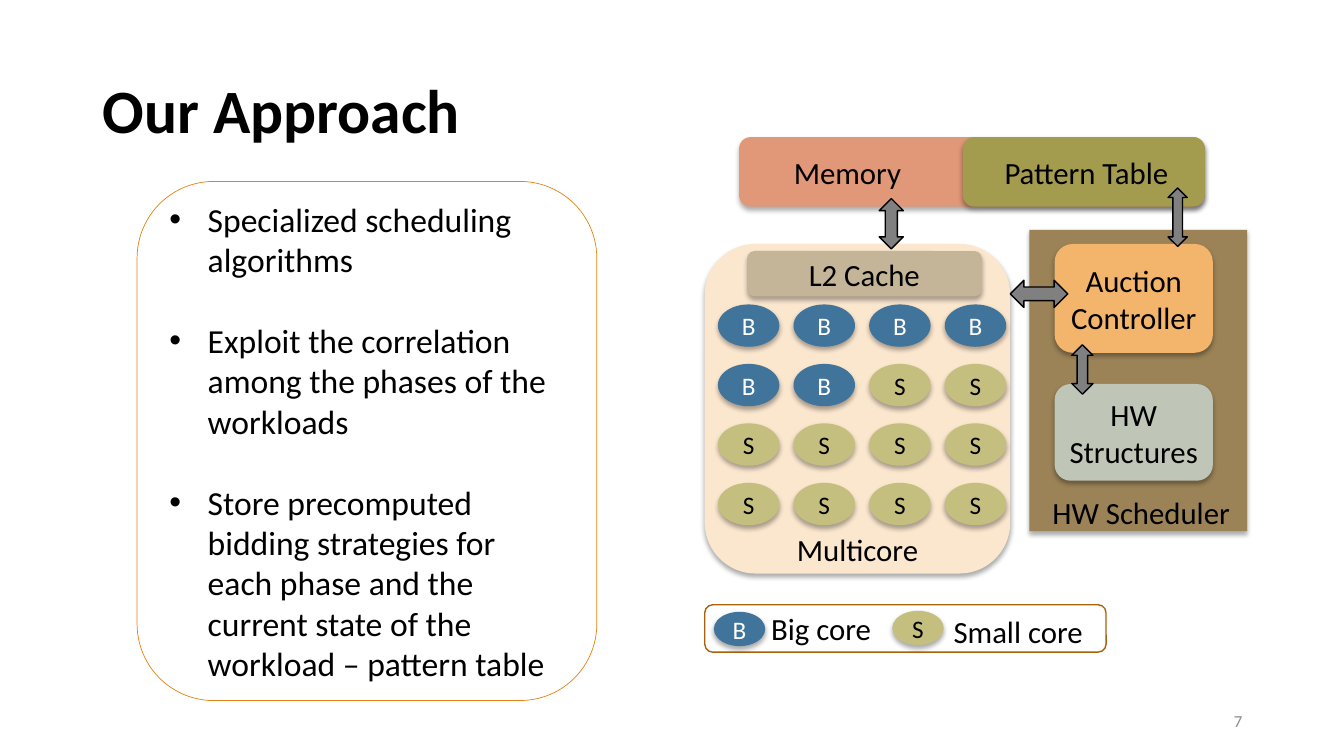
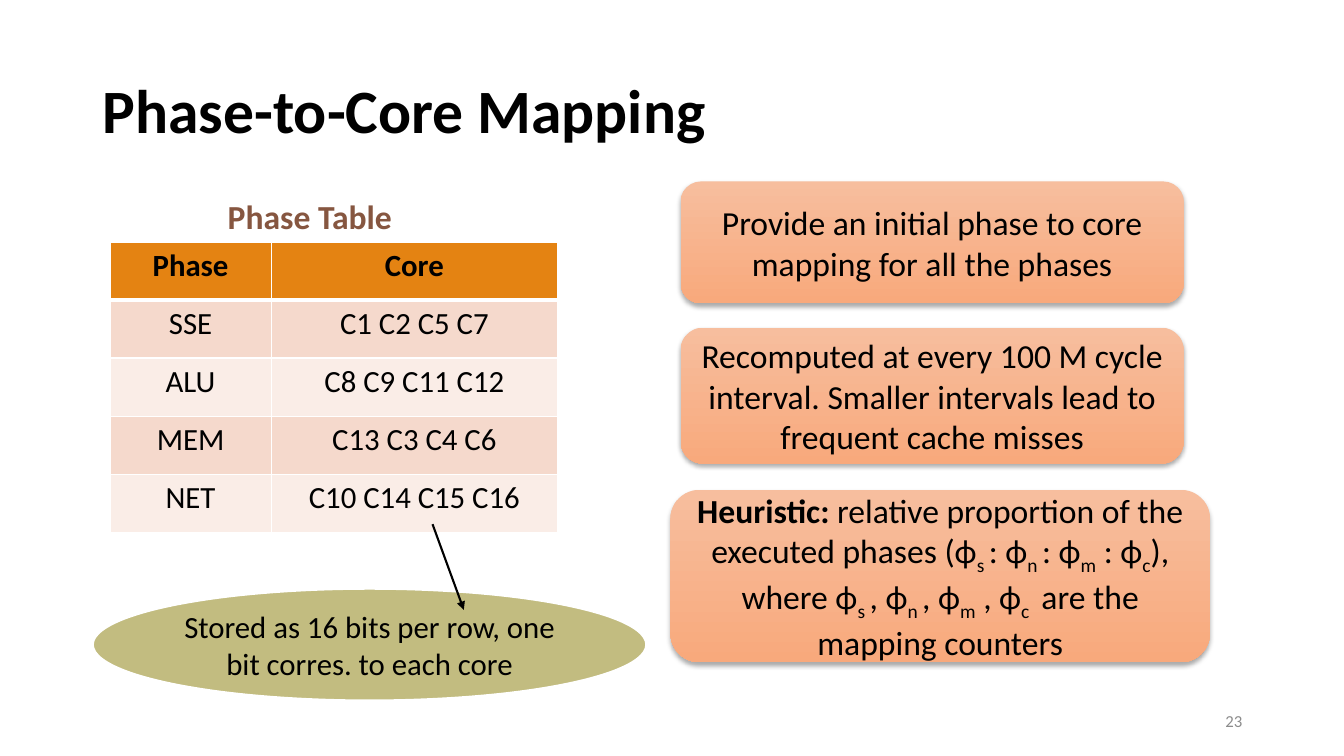
from dataclasses import dataclass
from typing import Optional

import lxml.etree
import pptx
import pptx.dml.color
import pptx.enum.shapes
import pptx.enum.text
import pptx.oxml.ns
import pptx.util

Inches = pptx.util.Inches
Pt = pptx.util.Pt
RGBColor = pptx.dml.color.RGBColor
Shapes = pptx.enum.shapes.MSO_SHAPE
Align = pptx.enum.text.PP_ALIGN
Anchor = pptx.enum.text.MSO_ANCHOR
qn = pptx.oxml.ns.qn

FONT = "Calibri"
BLACK = RGBColor(0x00, 0x00, 0x00)
WHITE = RGBColor(0xFF, 0xFF, 0xFF)
GRAY = RGBColor(0x8C, 0x8C, 0x8C)
ARROW_GRAY = RGBColor(0x80, 0x80, 0x80)
ORANGE = RGBColor(0xE4, 0x83, 0x12)
DARK_ORANGE = RGBColor(0xA9, 0x61, 0x0D)
BROWN = RGBColor(0x9B, 0x83, 0x57)
AMBER = RGBColor(0xF3, 0xB5, 0x6C)
SAGE = RGBColor(0xBF, 0xC6, 0xB8)
SALMON = RGBColor(0xE0, 0x98, 0x78)
CREAM = RGBColor(0xFB, 0xE6, 0xCE)
TAN = RGBColor(0xC5, 0xB5, 0x98)
OLIVE = RGBColor(0xA3, 0x9B, 0x4E)
BLUE = RGBColor(0x40, 0x74, 0x9B)
KHAKI = RGBColor(0xC5, 0xBF, 0x7F)
NOTE_GREEN = RGBColor(0xC2, 0xBC, 0x80)
CAPTION_BROWN = RGBColor(0x86, 0x56, 0x40)
PEACH_TOP = RGBColor(0xF7, 0xBE, 0x9E)
PEACH_BOTTOM = RGBColor(0xF8, 0xA9, 0x7C)
BAND_DARK = RGBColor(0xF5, 0xD9, 0xCC)
BAND_LIGHT = RGBColor(0xFA, 0xED, 0xE7)


@dataclass(frozen=True)
class Area:
    left: float
    top: float
    width: float
    height: float

    def lengths(self) -> tuple:
        return tuple(Inches(value) for value in (self.left, self.top, self.width, self.height))


@dataclass(frozen=True)
class Block:
    """A shadowed diagram part; a text_inset left-aligns its text."""
    area: Area
    fill: RGBColor
    text: str = ""
    text_inset: Optional[float] = None
    kind: int = Shapes.ROUNDED_RECTANGLE


@dataclass(frozen=True)
class Arrow:
    area: Area
    rotation: int = 90


@dataclass(frozen=True)
class Piece:
    text: str
    bold: bool = False
    subscript: bool = False


@dataclass(frozen=True)
class Core:
    letter: str
    fill: RGBColor
    color: RGBColor


BIG = Core("B", BLUE, WHITE)
SMALL = Core("S", KHAKI, BLACK)

POINTS = [
    "Specialized scheduling algorithms",
    "Exploit the correlation among the phases of the workloads",
    "Store precomputed bidding strategies for each phase and the current state of the "
    "workload – pattern table",
]
BLOCKS = [
    Block(Area(10.21, 2.28, 2.16, 2.99), BROWN, kind=Shapes.RECTANGLE),
    Block(Area(10.46, 2.42, 1.57, 1.08), AMBER, "Auction Controller"),
    Block(Area(10.46, 3.81, 1.57, 0.96), SAGE, "HW Structures"),
    Block(Area(7.33, 1.36, 4.62, 0.69), SALMON, "Memory", 0.51),
    Block(Area(9.55, 1.36, 2.4, 0.69), OLIVE, "Pattern Table", 0.38),
    Block(Area(6.99, 2.42, 3.03, 3.27), CREAM),
    Block(Area(7.41, 2.49, 2.33, 0.45), TAN, "L2 Cache", 0.59),
]
ARROWS = [
    Arrow(Area(10.49, 3.56, 0.49, 0.21)),
    Arrow(Area(10.02, 2.78, 0.57, 0.27), 180),
    Arrow(Area(8.59, 2.1, 0.5, 0.24)),
    Arrow(Area(11.39, 2.06, 0.58, 0.19)),
]
CORE_ROWS = [[BIG] * 4, [BIG, BIG, SMALL, SMALL], [SMALL] * 4, [SMALL] * 4]
PHASE_ROWS = [
    ("Phase", "Core"),
    ("SSE", "C1 C2 C5 C7"),
    ("ALU", "C8 C9 C11 C12"),
    ("MEM", "C13 C3 C4 C6"),
    ("NET", "C10 C14 C15 C16"),
]
CARDS = [
    (Area(6.75, 1.8, 4.99, 1.21),
     [Piece("Provide an initial phase to core mapping for all the phases")]),
    (Area(6.75, 3.25, 4.99, 1.35),
     [Piece("Recomputed at every 100 M cycle interval. Smaller intervals lead to "
            "frequent cache misses")]),
    (Area(6.65, 4.86, 5.35, 1.71), [
        Piece("Heuristic:", bold=True),
        Piece(" relative proportion of the executed phases (ϕ"), Piece("s ", subscript=True),
        Piece(": ϕ"), Piece("n ", subscript=True),
        Piece(": ϕ"), Piece("m", subscript=True),
        Piece(" : ϕ"), Piece("c", subscript=True),
        Piece("), where ϕ"), Piece("s ", subscript=True),
        Piece(", ϕ"), Piece("n ", subscript=True),
        Piece(", ϕ"), Piece("m", subscript=True),
        Piece(" , ϕ"), Piece("c ", subscript=True),
        Piece(" are the mapping counters"),
    ]),
]


def add_run(paragraph, text: str, size: float, color: RGBColor = BLACK, bold: bool = False):
    run = paragraph.add_run()
    run.text = text
    run.font.name = FONT
    run.font.size = Pt(size)
    run.font.bold = bold
    run.font.color.rgb = color
    return run


def add_label(slide, area: Area, text: str, size: float, color: RGBColor = BLACK,
              bold: bool = False, align=Align.LEFT, anchor=Anchor.TOP, wrap: bool = False):
    frame = slide.shapes.add_textbox(*area.lengths()).text_frame
    frame.word_wrap = wrap
    frame.vertical_anchor = anchor
    paragraph = frame.paragraphs[0]
    paragraph.alignment = align
    add_run(paragraph, text, size, color, bold)
    return paragraph


def add_shape(slide, kind, area: Area, fill: Optional[RGBColor] = None,
              line: Optional[RGBColor] = None, line_width: float = 1, shadow: bool = False):
    shape = slide.shapes.add_shape(kind, *area.lengths())
    if fill is None:
        shape.fill.background()
    else:
        shape.fill.solid()
        shape.fill.fore_color.rgb = fill
    if line is None:
        shape.line.fill.background()
    else:
        shape.line.color.rgb = line
        shape.line.width = Pt(line_width)
    shape.shadow.inherit = False
    if shadow:
        effects = shape._element.spPr.find(qn("a:effectLst"))
        outer = lxml.etree.SubElement(effects, qn("a:outerShdw"), blurRad=str(Pt(3.5)),
                                      dist=str(Pt(2.2)), dir="5400000", rotWithShape="0")
        black = lxml.etree.SubElement(outer, qn("a:srgbClr"), val="000000")
        lxml.etree.SubElement(black, qn("a:alpha"), val="32000")
    frame = shape.text_frame
    frame.word_wrap = True
    frame.vertical_anchor = Anchor.MIDDLE
    frame.paragraphs[0].alignment = Align.CENTER
    return shape


def add_slide(presentation, title: str, number: str):
    """Add a blank slide with the shared title and page number."""
    slide = presentation.slides.add_slide(presentation.slide_layouts[6])
    heading = add_label(slide, Area(0.92, 0.4, 11.5, 1.45), title, 44, bold=True,
                        anchor=Anchor.MIDDLE, wrap=True)
    heading.line_spacing = 0.9
    add_label(slide, Area(9.42, 6.95, 3, 0.4), number, 12, GRAY, align=Align.RIGHT,
              anchor=Anchor.MIDDLE, wrap=True)
    return slide


def add_points(slide) -> None:
    box = add_shape(slide, Shapes.ROUNDED_RECTANGLE, Area(1.36, 1.8, 4.56, 5.15),
                    line=ORANGE, line_width=0.5)
    frame = box.text_frame
    for index, point in enumerate(POINTS):
        paragraph = frame.add_paragraph() if index else frame.paragraphs[0]
        properties = paragraph._p.get_or_add_pPr()
        properties.set("marL", str(Inches(0.38)))
        properties.set("indent", str(-Inches(0.38)))
        lxml.etree.SubElement(properties, qn("a:buFont"), typeface="Arial")
        lxml.etree.SubElement(properties, qn("a:buChar"), char="•")
        paragraph.alignment = Align.LEFT
        if index:
            paragraph.space_before = Pt(29)
        add_run(paragraph, point, 24)


def add_block(slide, block: Block) -> None:
    shape = add_shape(slide, block.kind, block.area, block.fill, shadow=True)
    if not block.text:
        return
    frame = shape.text_frame
    frame.margin_left = frame.margin_right = Inches(0.05)
    if block.text_inset is not None:
        frame.margin_left = Inches(block.text_inset)
        frame.paragraphs[0].alignment = Align.LEFT
    add_run(frame.paragraphs[0], block.text, 22)


def add_core(slide, core: Core, area: Area) -> None:
    frame = add_shape(slide, Shapes.OVAL, area, core.fill, shadow=True).text_frame
    frame.margin_left = frame.margin_right = frame.margin_top = frame.margin_bottom = 0
    add_run(frame.paragraphs[0], core.letter, 18, core.color)


def build_approach(presentation) -> None:
    slide = add_slide(presentation, "Our Approach", "7")
    add_points(slide)
    for block in BLOCKS:
        add_block(slide, block)
    for row, cores in enumerate(CORE_ROWS):
        for column, core in enumerate(cores):
            add_core(slide, core, Area(7.12 + 0.75 * column, 3.02 + 0.59 * row, 0.61, 0.42))
    for arrow in ARROWS:
        shape = add_shape(slide, Shapes.LEFT_RIGHT_ARROW, arrow.area, ARROW_GRAY, BLACK)
        shape.rotation = arrow.rotation
    add_label(slide, Area(6.99, 5.22, 3.03, 0.47), "Multicore", 22, align=Align.CENTER, wrap=True)
    add_label(slide, Area(10.34, 4.85, 1.98, 0.47), "HW Scheduler", 22)

    add_shape(slide, Shapes.ROUNDED_RECTANGLE, Area(6.99, 6, 3.98, 0.47), line=DARK_ORANGE)
    add_core(slide, BIG, Area(7.08, 6.07, 0.51, 0.34))
    add_label(slide, Area(7.55, 6, 1.29, 0.4), "Big core", 22, wrap=True)
    add_core(slide, SMALL, Area(8.85, 6.06, 0.51, 0.34))
    add_label(slide, Area(9.36, 6.03, 1.5, 0.4), "Small core", 22)


def style_cell(cell, fill: RGBColor, top: float, bottom: float) -> None:
    """Give a cell white borders (widths in points) and a fill."""
    properties = cell._tc.get_or_add_tcPr()
    for side, width in (("L", 1), ("R", 1), ("T", top), ("B", bottom)):
        border = lxml.etree.SubElement(properties, qn(f"a:ln{side}"), w=str(Pt(width)))
        solid = lxml.etree.SubElement(border, qn("a:solidFill"))
        lxml.etree.SubElement(solid, qn("a:srgbClr"), val=str(WHITE))
    cell.fill.solid()
    cell.fill.fore_color.rgb = fill


def add_phase_table(slide) -> None:
    area = Area(1.09, 2.4, 4.44, 2.88)
    table = slide.shapes.add_table(len(PHASE_ROWS), 2, *area.lengths()).table
    table.horz_banding = False
    for column, width in zip(table.columns, (1.6, 2.84)):
        column.width = Inches(width)
    for row, texts in enumerate(PHASE_ROWS):
        fill = ORANGE if row == 0 else BAND_DARK if row % 2 else BAND_LIGHT
        for column, text in enumerate(texts):
            cell = table.cell(row, column)
            style_cell(cell, fill, top=3 if row == 1 else 1, bottom=3 if row == 0 else 1)
            paragraph = cell.text_frame.paragraphs[0]
            paragraph.alignment = Align.CENTER
            add_run(paragraph, text, 22, bold=row == 0)


def add_card(slide, area: Area, pieces: list[Piece]) -> None:
    card = add_shape(slide, Shapes.ROUNDED_RECTANGLE, area, shadow=True)
    card.fill.gradient()
    card.fill.gradient_angle = 270
    for stop, color in zip(card.fill.gradient_stops, (PEACH_TOP, PEACH_BOTTOM)):
        stop.color.rgb = color
    for piece in pieces:
        run = add_run(card.text_frame.paragraphs[0], piece.text, 24, bold=piece.bold)
        if piece.subscript:
            run._r.get_or_add_rPr().set("baseline", "-25000")


def build_mapping(presentation) -> None:
    slide = add_slide(presentation, "Phase-to-Core Mapping", "23")
    add_phase_table(slide)
    add_label(slide, Area(2.16, 1.89, 1.85, 0.5), "Phase Table", 24, CAPTION_BROWN, bold=True)
    for area, pieces in CARDS:
        add_card(slide, area, pieces)
    note = add_shape(slide, Shapes.OVAL, Area(0.92, 5.84, 5.49, 1.11), NOTE_GREEN, WHITE, 1.5)
    add_run(note.text_frame.paragraphs[0],
            "Stored as 16 bits per row, one bit corres. to each core", 22)
    pointer = slide.shapes.add_connector(pptx.enum.shapes.MSO_CONNECTOR.STRAIGHT, Inches(4.29),
                                         Inches(5.2), Inches(4.6), Inches(6.05))
    pointer.line.color.rgb = BLACK
    pointer.line.width = Pt(1.5)
    lxml.etree.SubElement(pointer.line._get_or_add_ln(), qn("a:tailEnd"), type="triangle")
    lxml.etree.SubElement(pointer._element.spPr, qn("a:effectLst"))


def main() -> None:
    presentation = pptx.Presentation()
    presentation.slide_width = Inches(13.33)
    presentation.slide_height = Inches(7.5)
    build_approach(presentation)
    build_mapping(presentation)
    presentation.save("out.pptx")


if __name__ == "__main__":
    main()
